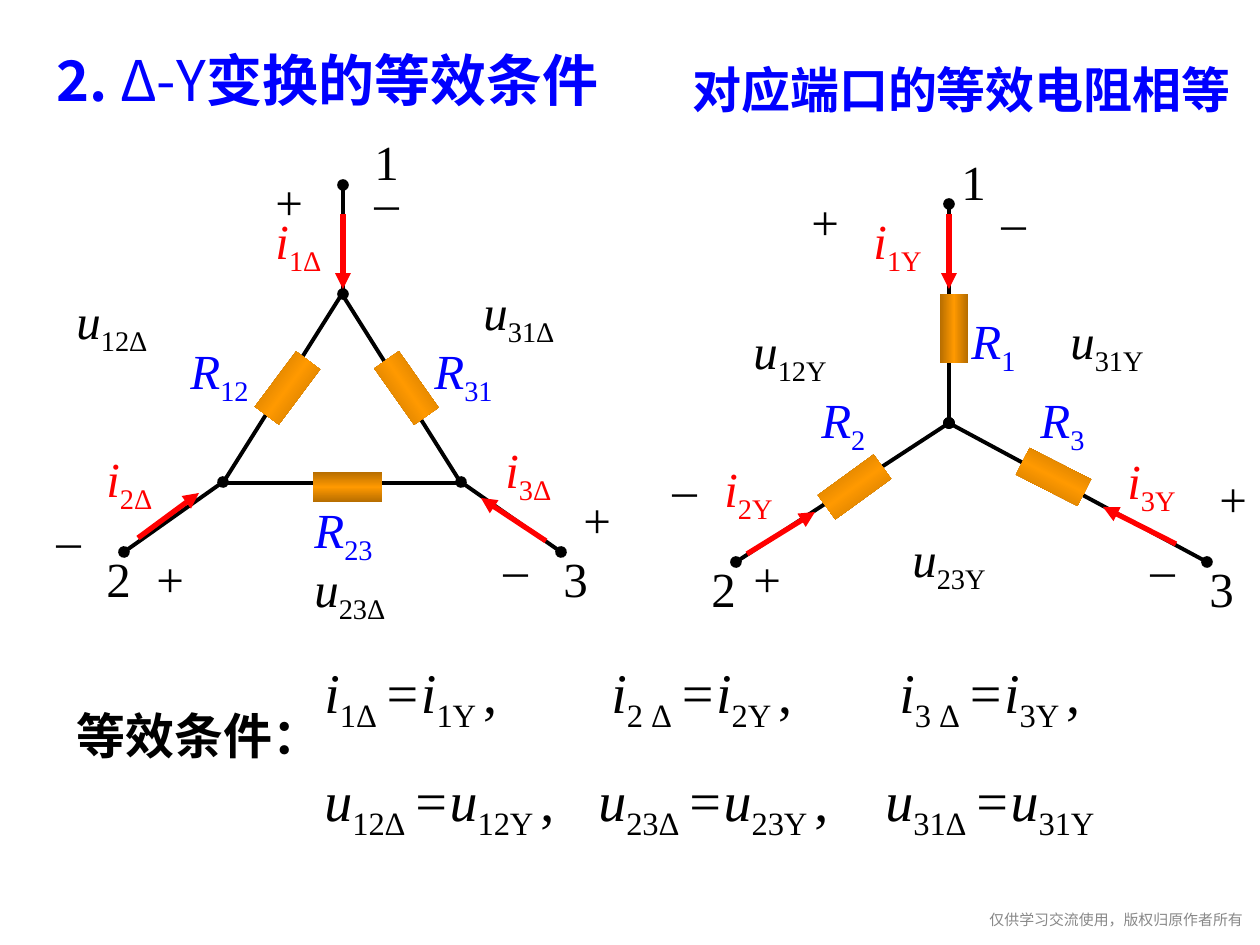
"""Build the slide on equivalence conditions between delta and star resistor networks."""
from dataclasses import dataclass

from lxml import etree
from pptx import Presentation
from pptx.dml.color import RGBColor as Rgb
from pptx.enum.shapes import MSO_CONNECTOR as Connector, MSO_SHAPE as Shape
from pptx.enum.text import MSO_AUTO_SIZE as AutoSize, PP_ALIGN as Align
from pptx.oxml.ns import qn
from pptx.util import Pt

EMU_PER_PX = 914400 / 126


def px(length):
    return round(length * EMU_PER_PX)


@dataclass(frozen=True)
class Theme:
    ink: str = "000000"
    heading: str = "0000FF"
    current: str = "FF0000"
    muted: str = "888888"
    band_edge: str = "B66D00"
    band_core: str = "FF9900"
    serif: str = "Times New Roman"
    sans: str = "Arial"
    chinese: str = "Noto Sans CJK SC"
    title_size: float = 32
    label_size: float = 28
    footer_size: float = 8.5
    wire_width: float = 2.25
    arrow_width: float = 3


class CircuitSlide:
    def __init__(self, slide, theme):
        self.theme = theme
        self.slide = slide
        self.shapes = slide.shapes

    def start_group(self):
        self.shapes = self.slide.shapes.add_group_shape().shapes

    def end_group(self):
        self.shapes = self.slide.shapes

    def text(self, box, lines, size, color, face, align=Align.LEFT, wrap=True,
             inset=None, gap=0, tabs=()):
        frame = self.shapes.add_textbox(*map(px, box)).text_frame
        frame.word_wrap = wrap
        frame.auto_size = AutoSize.NONE
        if inset is not None:
            frame.margin_left = frame.margin_right = inset
            frame.margin_top = frame.margin_bottom = inset
        for index, runs in enumerate(lines):
            paragraph = frame.add_paragraph() if index else frame.paragraphs[0]
            paragraph.alignment = align
            if index:
                paragraph.space_before = Pt(gap)
            if tabs:
                properties = paragraph._p.get_or_add_pPr()
                stops = etree.SubElement(properties, qn("a:tabLst"))
                for stop in tabs[index]:
                    etree.SubElement(stops, qn("a:tab"), pos=str(px(stop)), algn="l")
            font = paragraph.font
            font.size, font.name = Pt(size), face
            font.color.rgb = Rgb.from_string(color)
            etree.SubElement(font._element, qn("a:ea"), typeface=self.theme.chinese)
            for words, style in runs:
                run = paragraph.add_run()
                run.text = words
                if style == "bold":
                    run.font.bold = True
                elif style == "italic":
                    run.font.italic = True
                elif style == "sub":
                    run.font._element.set("baseline", "-25000")

    def label(self, left, top, width, symbol, subscript="", color=None):
        runs = [(symbol, "italic" if subscript else "")]
        if subscript:
            runs.append((subscript, "sub"))
        self.text((left, top, width, 72), [runs], self.theme.label_size,
                  color or self.theme.ink, self.theme.serif)

    def line(self, start, end, color, width, head=None, tail=None):
        link = self.shapes.add_connector(Connector.STRAIGHT, *map(px, (*start, *end)))
        link.line.color.rgb = Rgb.from_string(color)
        link.line.width = Pt(width)
        outline = link.line._get_or_add_ln()
        for tag, kind in (("a:headEnd", head), ("a:tailEnd", tail)):
            if kind:
                etree.SubElement(outline, qn(tag), type=kind)
        etree.SubElement(link._element.spPr, qn("a:effectLst"))

    def wire(self, start, end):
        self.line(start, end, self.theme.ink, self.theme.wire_width, "oval", "oval")

    def arrow(self, start, end):
        self.line(start, end, self.theme.current, self.theme.arrow_width, tail="triangle")

    def triangle(self, left, top, width, height):
        loop = self.shapes.add_shape(Shape.ISOSCELES_TRIANGLE,
                                     *map(px, (left, top, width, height)))
        loop.shadow.inherit = False
        loop.fill.background()
        loop.line.color.rgb = Rgb.from_string(self.theme.ink)
        loop.line.width = Pt(self.theme.wire_width)

    def resistor(self, left, top, rotation=0, upright=False):
        width, height = (28, 69) if upright else (69, 30)
        body = self.shapes.add_shape(Shape.RECTANGLE, *map(px, (left, top, width, height)))
        body.shadow.inherit = False
        body.rotation = rotation
        body.line.fill.background()
        body.fill.gradient()
        body.fill.gradient_angle = 0 if upright else 270
        stops = body.fill.gradient_stops._gsLst
        for stop in list(stops):
            stops.remove(stop)
        edge, core = self.theme.band_edge, self.theme.band_core
        for position, color in ((0, edge), (50000, core), (100000, edge)):
            stop = etree.SubElement(stops, qn("a:gs"), pos=str(position))
            etree.SubElement(stop, qn("a:srgbClr"), val=color)


def equation(quantity, index, spaced="", end=","):
    return [(quantity, "italic"), (f"{index}{spaced}Δ ", "sub"),
            (f"={quantity}", "italic"), (f"{index}Y" + (" " if end else ""), "sub"),
            (end, "")]


def draw_labels(page, family, currents, voltages, resistances, signs, terminals):
    theme = page.theme
    for color, symbol, suffix, places in (
            (theme.current, "i", family, currents),
            (theme.ink, "u", family, voltages),
            (theme.heading, "R", "", resistances)):
        for index, (left, top, width) in places.items():
            page.label(left, top, width, symbol, index + suffix, color)
    for sign, places in signs.items():
        for left, top in places:
            page.label(left, top, 53, sign)
    for terminal, (left, top) in terminals.items():
        page.label(left, top, 53, terminal)


def draw_delta(page):
    page.start_group()
    for start, end in (((561, 552), (461, 482)), ((343, 294), (343, 185)),
                       ((124, 552), (223, 482))):
        page.wire(start, end)
    for start, end in (((343, 214), (343, 289)), ((138, 538), (199, 493)),
                       ((546, 541), (481, 498))):
        page.arrow(start, end)
    draw_labels(
        page, "Δ",
        {"1": (263, 204, 105), "2": (94, 442, 94), "3": (493, 433, 91)},
        {"12": (64, 284, 120), "23": (302, 552, 139), "31": (471, 275, 118)},
        {"12": (178, 334, 116), "23": (302, 493, 110), "31": (422, 334, 101)},
        {"+": ((263, 165), (144, 542), (571, 483)),
         "–": ((362, 165), (44, 503), (491, 532))},
        {"1": (362, 125), "2": (94, 542), "3": (551, 542)})
    page.triangle(223, 294, 238, 189)
    for left, top, rotation in ((372, 373, 54.8), (253, 373, 306.8), (313, 472, 0)):
        page.resistor(left, top, rotation)
    page.end_group()


def draw_star(page):
    page.start_group()
    for end in ((1207, 562), (949, 204), (736, 562)):
        page.wire((949, 423), end)
    for start, end in (((1176, 544), (1103, 507)), ((949, 214), (949, 289)),
                       ((747, 554), (815, 512))):
        page.arrow(start, end)
    draw_labels(
        page, "Y",
        {"1": (861, 204, 94), "2": (712, 452, 94), "3": (1115, 444, 84)},
        {"12": (741, 314, 136), "23": (900, 522, 125), "31": (1058, 304, 126)},
        {"1": (959, 304, 73), "2": (809, 383, 73), "3": (1028, 383, 115)},
        {"+": ((799, 185), (741, 542), (1207, 462)),
         "–": ((660, 452), (1138, 532), (989, 185))},
        {"1": (949, 145), "2": (699, 552), "3": (1197, 552)})
    page.resistor(940, 294, upright=True)
    page.resistor(820, 472, 324)
    page.resistor(1019, 462, 27)
    page.end_group()


def main():
    deck = Presentation()
    deck.slide_width, deck.slide_height = px(1260), px(945)
    theme = Theme()
    page = CircuitSlide(deck.slides.add_slide(deck.slide_layouts[6]), theme)

    tab = [("\t", "")]
    current_row = (equation("i", "1") + tab + equation("i", "2", " ") + tab
                   + equation("i", "3", " "))
    voltage_row = (equation("u", "12") + tab + equation("u", "23") + tab
                   + equation("u", "31", end=""))
    page.text((312, 651, 894, 180), [current_row, voltage_row], theme.title_size,
              theme.ink, theme.serif, gap=18, tabs=((287, 575), (274, 561)))
    page.text((44, 39, 674, 79),
              [[("2. ", "bold"), ("Δ-Y", ""), ("变换的等效条件", "bold")]],
              theme.title_size, theme.heading, theme.chinese)
    page.text((64, 699, 297, 72), [[("等效条件：", "bold")]], theme.label_size,
              theme.ink, theme.sans)
    draw_delta(page)
    draw_star(page)
    page.text((680, 53, 567, 72), [[("对应端口的等效电阻相等", "bold")]],
              theme.label_size, theme.heading, theme.chinese, wrap=False)
    page.text((764, 911, 479, 28), [[("仅供学习交流使用，版权归原作者所有", "")]],
              theme.footer_size, theme.muted, theme.serif, Align.RIGHT, False, 0)
    deck.save("out.pptx")


if __name__ == "__main__":
    main()
